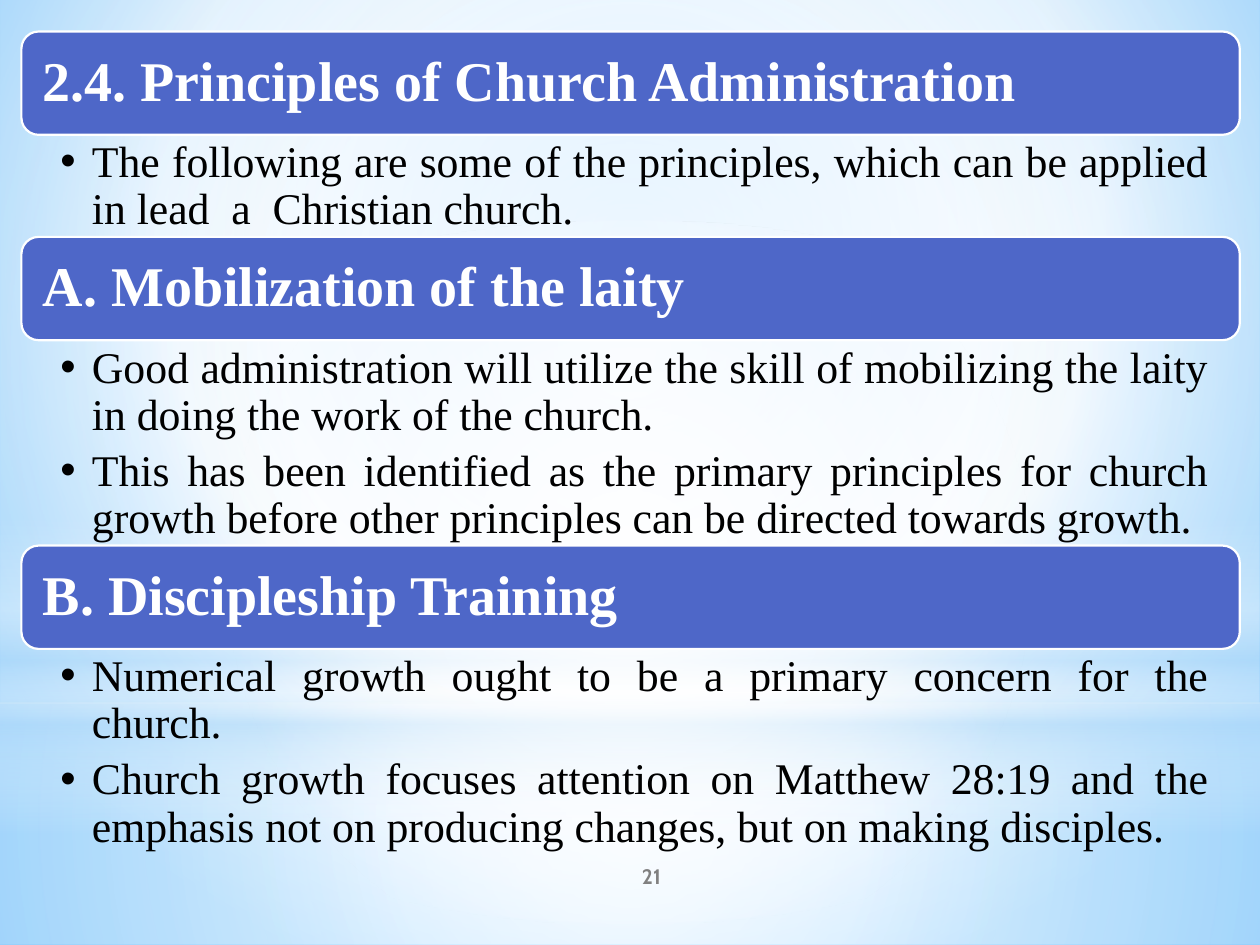
from lxml import etree
from pptx import Presentation
from pptx import util as u
from pptx.dml.color import RGBColor
from pptx.enum import shapes, text
from pptx.oxml.ns import qn

HUES = {
    "bar": "4E67C8", "white": "FFFFFF", "ink": "000000", "num": "808080",
    "pale": "B4DCFA", "sky": "9ED5FF", "deep": "5BB9FF",
}
SERIF, SANS = "Times New Roman", "Cabin"
MID = (50, 50, 50, 50)
LEFT, WIDE, BAR, PAD = 0.17, 9.67, 0.82, 0.04
KIND, ALIGN, ANCHOR = shapes.MSO_SHAPE, text.PP_ALIGN, text.MSO_ANCHOR


def hue(name):
    return RGBColor.from_string(HUES[name])


class Deck:
    def __init__(self):
        self.prs = Presentation()
        self.prs.slide_width, self.prs.slide_height = u.Inches(10), u.Inches(7.5)
        self.slide = self.prs.slides.add_slide(self.prs.slide_layouts[1])
        self.title, self.body = self.slide.placeholders

    def fade(self, fill, root, stops, focus=None):
        """Swap a solid fill for a gradient of (place, colour, opacity) stops."""
        fill.solid()
        old = root.find(".//" + qn("a:solidFill"))
        grad = etree.Element(qn("a:gradFill"), rotWithShape="1")
        row = etree.SubElement(grad, qn("a:gsLst"))
        for place, name, alpha in stops:
            stop = etree.SubElement(row, qn("a:gs"), pos=str(place * 1000))
            tint = etree.SubElement(stop, qn("a:srgbClr"), val=HUES[name])
            if alpha < 100:
                etree.SubElement(tint, qn("a:alpha"), val=str(alpha * 1000))
        if focus:
            ring = etree.SubElement(grad, qn("a:path"), path="circle")
            sides = {k: str(v * 1000) for k, v in zip("ltrb", focus)}
            etree.SubElement(ring, qn("a:fillToRect"), **sides)
        else:
            etree.SubElement(grad, qn("a:lin"), ang="5400000", scaled="0")
        old.getparent().replace(old, grad)

    def back(self, stops, focus):
        self.fade(self.slide.background.fill, self.slide.element, stops, focus)

    def shape(self, kind, box):
        item = self.slide.shapes.add_shape(kind, *map(u.Inches, box))
        item.shadow.inherit = False
        return item

    def glow(self, kind, box, stops, focus=None):
        item = self.shape(kind, box)
        item.line.fill.background()
        self.fade(item.fill, item.element.spPr, stops, focus)

    def frame(self, box, pads, anchor, holder=None):
        """Place a text box, or move a placeholder there and to the front."""
        if holder is None:
            item = self.slide.shapes.add_textbox(*map(u.Inches, box))
        else:
            item = holder
            item.left, item.top, item.width, item.height = map(u.Inches, box)
            self.slide.shapes.element.append(item.element)
        tf = item.text_frame
        tf.word_wrap, tf.auto_size = True, text.MSO_AUTO_SIZE.NONE
        tf.vertical_anchor = anchor
        (tf.margin_left, tf.margin_top,
         tf.margin_right, tf.margin_bottom) = map(u.Inches, pads)
        return tf

    def run(self, par, words, size, name, font=SERIF, bold=False):
        run = par.add_run()
        run.text = words
        run.font.name, run.font.size, run.font.bold = font, u.Pt(size), bold
        run.font.color.rgb = hue(name)

    def head(self, top, words, holder=None):
        bar = self.shape(KIND.ROUNDED_RECTANGLE, (LEFT, top, WIDE, BAR))
        bar.fill.solid()
        bar.fill.fore_color.rgb = hue("bar")
        bar.line.color.rgb, bar.line.width = hue("white"), u.Pt(1.25)
        box = (LEFT + PAD, top + PAD, WIDE - 2 * PAD, BAR - 2 * PAD)
        par = self.frame(box, [0.13] * 4, ANCHOR.MIDDLE, holder).paragraphs[0]
        par.alignment, par.line_spacing = ALIGN.JUSTIFY, 0.9
        self.run(par, words, 32, "white", bold=True)

    def points(self, top, high, lines, holder=None):
        box = (LEFT, top, WIDE, high)
        tf = self.frame(box, (0.31, PAD, 0.25, PAD), ANCHOR.TOP, holder)
        for i, words in enumerate(lines):
            par = tf.add_paragraph() if i else tf.paragraphs[0]
            par.level, par.alignment, par.line_spacing = 1, ALIGN.JUSTIFY, 0.9
            par.space_before, par.space_after = u.Pt(0), u.Pt(5)
            props = par._p.get_or_add_pPr()
            props.set("marL", str(u.Inches(0.25)))
            props.set("indent", str(u.Inches(-0.25)))
            etree.SubElement(props, qn("a:buFont"), typeface="Arial")
            etree.SubElement(props, qn("a:buChar"), char="•")
            self.run(par, words, 25, "ink")

    def number(self, words):
        tf = self.frame((4.17, 6.75, 2, 0.4), (0.1, 0.05, 0.1, 0.05), ANCHOR.MIDDLE)
        par = tf.paragraphs[0]
        par.alignment = ALIGN.CENTER
        self.run(par, words, 12, "num", SANS, True)


def main():
    deck = Deck()

    # Soft sky backdrop
    deck.back([(0, "sky", 100), (60, "white", 100), (100, "deep", 100)],
              (20, 10, 20, 60))
    deck.glow(KIND.RECTANGLE, (0, 5.58, 10, 1.92),
              [(0, "white", 91), (37, "white", 76), (100, "pale", 79)], MID)
    deck.glow(KIND.RECTANGLE, (0, 0, 10, 5.58),
              [(0, "white", 89), (48, "white", 62), (100, "pale", 79)], MID)
    deck.glow(KIND.RECTANGLE, (0, 4.12, 10, 2.5),
              [(0, "white", 0), (29, "white", 30), (45, "pale", 40),
               (55, "white", 26), (65, "pale", 60), (100, "white", 0)])
    deck.glow(KIND.OVAL, (0, 1.75, 10, 5.58),
              [(0, "white", 100), (56, "white", 0)], MID)
    deck.number("21")

    # Stacked sections: heading, list height, points
    parts = [
        ("2.4. Principles of Church Administration", 0.81, [
            "The following are some of the principles, which can be applied "
            "in lead  a  Christian church. "]),
        ("A. Mobilization of the laity", 1.63, [
            "Good administration will utilize the skill of mobilizing the laity "
            "in doing the work of the church. ",
            "This has been identified as the primary principles for church "
            "growth before other principles can be directed towards growth."]),
        ("B. Discipleship Training ", 2.1, [
            "Numerical growth ought to be a primary concern for the church.",
            "Church growth focuses attention on Matthew 28:19 and the emphasis "
            "not on producing changes, but on making disciples."]),
    ]
    top = 0.25
    for i, (words, high, lines) in enumerate(parts):
        deck.head(top, words, None if i else deck.title)
        deck.points(top + BAR, high, lines, None if i else deck.body)
        top += BAR + high

    deck.prs.save("out.pptx")


if __name__ == "__main__":
    main()
